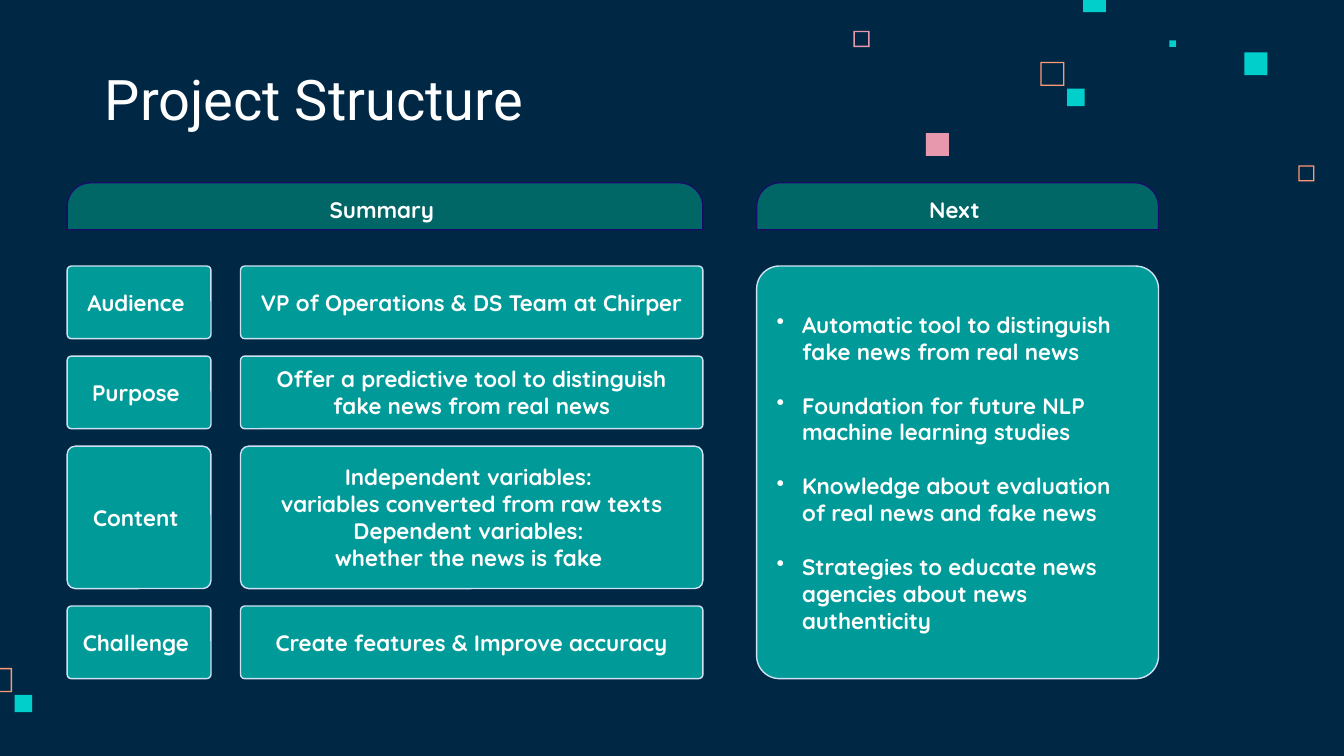
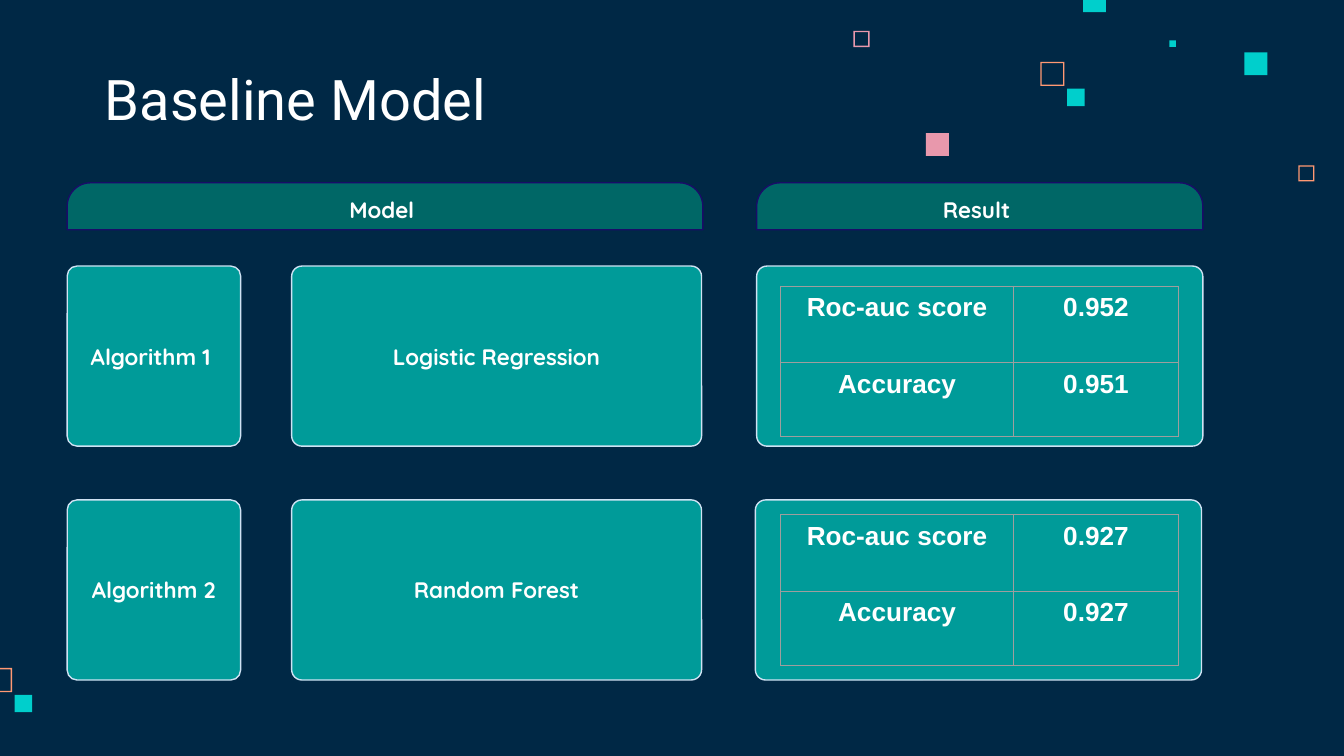
"""Build two slides on a news classifier: project structure and baseline model."""
from lxml import etree
from pptx import Presentation
from pptx.dml.color import RGBColor
from pptx.enum.shapes import MSO_SHAPE as SHP
from pptx.enum.text import MSO_ANCHOR as ANCHOR, MSO_AUTO_SIZE as FIT, PP_ALIGN as ALIGN
from pptx.oxml.ns import qn
from pptx.util import Inches, Pt

NAVY = RGBColor(0x00, 0x28, 0x45)
DARK_TEAL = RGBColor(0x00, 0x67, 0x66)
TEAL = RGBColor(0x00, 0x9B, 0x99)
AQUA = RGBColor(0x00, 0xCF, 0xCC)
ORANGE = RGBColor(0xFF, 0x99, 0x73)
PINK = RGBColor(0xE8, 0x98, 0xAC)
INDIGO = RGBColor(0x19, 0x0C, 0x68)
PALE_BLUE = RGBColor(0xCF, 0xE2, 0xF3)
GREY = RGBColor(0x9E, 0x9E, 0x9E)
WHITE = RGBColor(0xFF, 0xFF, 0xFF)

LEFT, RIGHT = 0.5, 5.63
TOP, GAP = 1.98, 0.13


def add_text(p, text, size, font, bold=True):
    r = p.add_run()
    r.text = text
    r.font.size = Pt(size)
    r.font.name = font
    r.font.bold = bold
    r.font.color.rgb = WHITE


def add_box(slide, x, y, w, h, lines=(), header=False):
    kind = SHP.ROUND_2_SAME_RECTANGLE if header else SHP.ROUNDED_RECTANGLE
    sp = slide.shapes.add_shape(kind, Inches(x), Inches(y), Inches(w), Inches(h))
    sp.adjustments[0] = 0.5 if header else 0.057
    sp.shadow.inherit = False
    sp.fill.solid()
    sp.fill.fore_color.rgb = DARK_TEAL if header else TEAL
    sp.line.color.rgb = INDIGO if header else PALE_BLUE
    sp.line.width = Pt(0.75)
    tf = sp.text_frame
    tf.word_wrap = True
    tf.vertical_anchor = ANCHOR.MIDDLE
    tf.margin_left = tf.margin_right = Inches(0 if header else 0.1)
    tf.margin_top = tf.margin_bottom = Inches(0.1)
    for i, line in enumerate(lines):
        p = tf.add_paragraph() if i else tf.paragraphs[0]
        p.alignment = ALIGN.CENTER
        add_text(p, line, 12, "Quicksand")
    return sp


prs = Presentation()
prs.slide_width = Inches(10)
prs.slide_height = prs.slide_width * 9 // 16
layout = prs.slide_layouts[5]
fill = prs.slide_master.background.fill
fill.solid()
fill.fore_color.rgb = NAVY

slides = []
for title, title_width, left_header, right_header, right_width in [
    ("Project Structure", 5.17, "Summary ", "Next ", 2.99),
    ("Baseline Model", 9.26, "Model ", "Result ", 3.32),
]:
    slide = prs.slides.add_slide(layout)
    sp = slide.shapes.title
    sp.left, sp.top = Inches(0.68), Inches(0.45)
    sp.width, sp.height = Inches(title_width), Inches(0.63)
    tf = sp.text_frame
    tf.word_wrap = True
    tf.auto_size = FIT.NONE
    tf.vertical_anchor = ANCHOR.BOTTOM
    tf.margin_left = tf.margin_right = tf.margin_top = tf.margin_bottom = Inches(0.1)
    tf.paragraphs[0].alignment = ALIGN.LEFT
    add_text(tf.paragraphs[0], title, 30, "Roboto", bold=False)
    add_box(slide, LEFT, 1.36, 4.73, 0.35, [left_header], header=True)
    add_box(slide, RIGHT, 1.36, right_width, 0.35, [right_header], header=True)
    slides.append(slide)
structure, baseline = slides

confetti = [
    (9.66, 1.23, 0.12, ORANGE, True),
    (6.35, 0.23, 0.12, PINK, True),
    (7.74, 0.46, 0.18, ORANGE, True),
    (8.7, 0.3, 0.05, AQUA, False),
    (8.06, -0.08, 0.17, AQUA, False),
    (9.26, 0.39, 0.17, AQUA, False),
    (7.94, 0.66, 0.13, AQUA, False),
    (6.89, 0.99, 0.17, PINK, False),
    (-0.09, 4.97, 0.18, ORANGE, True),
    (0.11, 5.17, 0.13, AQUA, False),
]
for i, (x, y, side, color, hollow) in enumerate(confetti):
    kind = SHP.FRAME if hollow else SHP.RECTANGLE
    sp = structure.shapes.add_shape(kind, Inches(x), Inches(y), Inches(side), Inches(side))
    if hollow:
        sp.adjustments[0] = 0.01 / side
    sp.shadow.inherit = False
    sp.fill.solid()
    sp.fill.fore_color.rgb = color
    sp.line.fill.background()
    sp.element.xpath(".//p:cNvPr")[0].set("id", str(100 + i))
    layout.shapes.element.append(sp.element)

y = TOP
for label, height, lines in [
    ("Audience ", 0.54, ["VP of Operations & DS Team at Chirper"]),
    ("Purpose ", 0.54, ["Offer a predictive tool to distinguish fake news from real news"]),
    ("Content ", 1.06, ["Independent variables: ", "variables converted from raw texts",
                        "Dependent variables: ", "whether the news is fake "]),
    ("Challenge ", 0.54, ["Create features & Improve accuracy"]),
]:
    add_box(structure, LEFT, y, 1.07, height, [label])
    add_box(structure, 1.79, y, 3.44, height, lines)
    y += height + GAP

next_steps = add_box(structure, RIGHT, TOP, 2.99, 3.07, [
    "Automatic tool to distinguish fake news from real news",
    "Foundation for future NLP machine learning studies",
    "Knowledge about evaluation of real news and fake news",
    "Strategies to educate news agencies about news authenticity",
])
for i, p in enumerate(next_steps.text_frame.paragraphs):
    p.alignment = ALIGN.LEFT
    p.space_before = Pt(14.4 if i else 0)
    pPr = p._p.get_or_add_pPr()
    pPr.set("marL", str(Inches(0.19)))
    pPr.set("indent", str(-Inches(0.19)))
    color = etree.SubElement(pPr, qn("a:buClr"))
    etree.SubElement(color, qn("a:srgbClr")).set("val", str(WHITE))
    etree.SubElement(pPr, qn("a:buChar")).set("char", "•")

for label, model, y, result_x, table_y, roc_auc, accuracy in [
    ("Algorithm 1 ", "Logistic Regression", TOP, RIGHT, 2.13, "0.952", "0.951"),
    ("Algorithm 2", "Random Forest", 3.72, 5.62, 3.83, "0.927", "0.927"),
]:
    add_box(baseline, LEFT, y, 1.29, 1.34, [label])
    add_box(baseline, 2.17, y, 3.05, 1.34, [model])
    add_box(baseline, result_x, y, 3.32, 1.34)
    table = baseline.shapes.add_table(
        2, 2, Inches(5.81), Inches(table_y), Inches(2.96), Inches(1.12)).table
    table.first_row = table.horz_banding = False
    for column, width in zip(table.columns, (1.73, 1.23)):
        column.width = Inches(width)
    for row, height in zip(table.rows, (0.57, 0.55)):
        row.height = Inches(height)
    scores = ["Roc-auc score", roc_auc, "Accuracy", accuracy]
    for cell, text in zip(table.iter_cells(), scores):
        cell.fill.background()
        p = cell.text_frame.paragraphs[0]
        p.alignment = ALIGN.CENTER
        add_text(p, text, 14, "Arial")
        tcPr = cell._tc.get_or_add_tcPr()
        for i, edge in enumerate(("a:lnL", "a:lnR", "a:lnT", "a:lnB")):
            ln = etree.Element(qn(edge), w=str(Pt(0.75)))
            color = etree.SubElement(etree.SubElement(ln, qn("a:solidFill")), qn("a:srgbClr"))
            color.set("val", str(GREY))
            tcPr.insert(i, ln)

prs.save("out.pptx")
